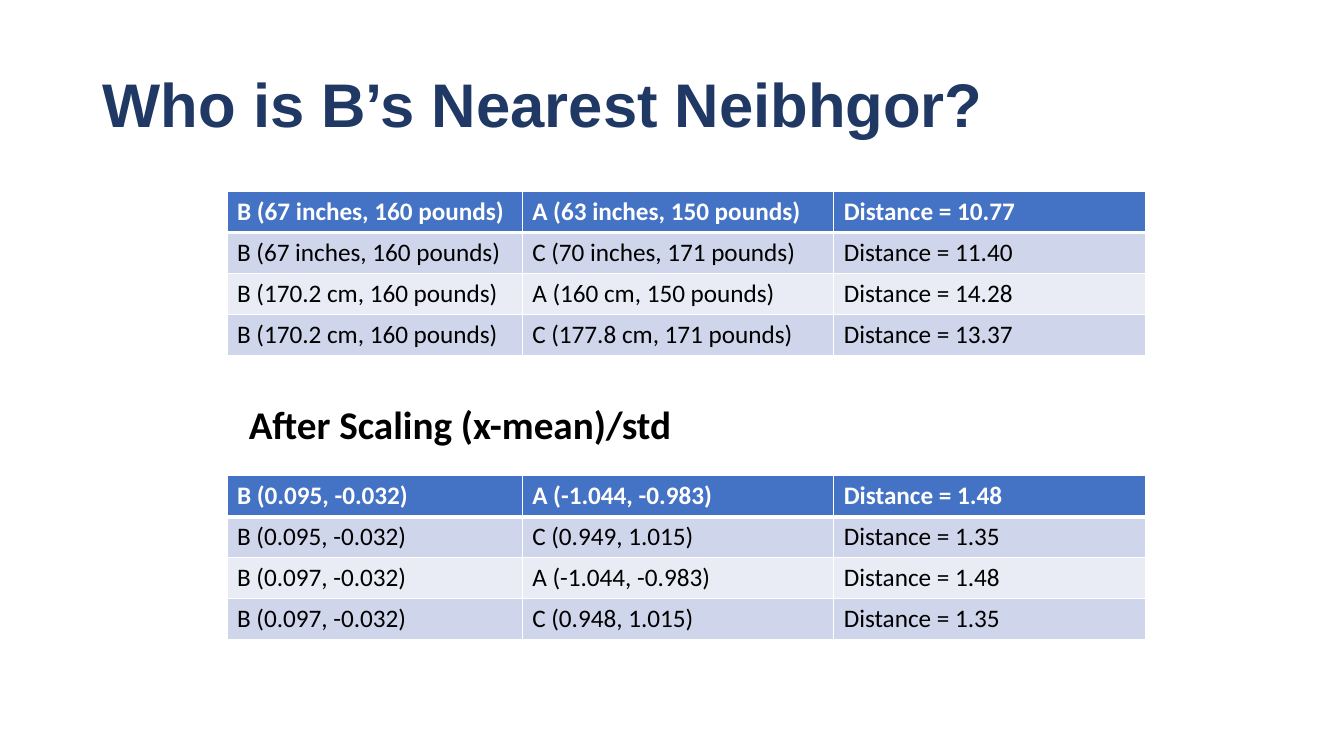
import pptx
import pptx.dml.color
import pptx.enum.text
import pptx.oxml
import pptx.oxml.ns
import pptx.util
from pptx.util import Cm

NAVY, BLUE, WHITE, BLACK = "203864", "4472C4", "FFFFFF", "000000"
BANDS = ["E9EBF5", "CFD5EA"]
COLUMN_WIDTHS = [7.44, 7.85, 7.85]
ROW_HEIGHT = 1.03
TABLE_LEFT = 5.72

RAW_DISTANCES = [
    ["B (67 inches, 160 pounds)", "A (63 inches, 150 pounds)", "Distance = 10.77"],
    ["B (67 inches, 160 pounds)", "C (70 inches, 171 pounds)", "Distance = 11.40"],
    ["B (170.2 cm, 160 pounds)", "A (160 cm, 150 pounds)", "Distance = 14.28"],
    ["B (170.2 cm, 160 pounds)", "C (177.8 cm, 171 pounds)", "Distance = 13.37"],
]
SCALED_DISTANCES = [
    ["B (0.095, -0.032)", "A (-1.044, -0.983)", "Distance = 1.48"],
    ["B (0.095, -0.032)", "C (0.949, 1.015)", "Distance = 1.35"],
    ["B (0.097, -0.032)", "A (-1.044, -0.983)", "Distance = 1.48"],
    ["B (0.097, -0.032)", "C (0.948, 1.015)", "Distance = 1.35"],
]


def rgb(value):
    return pptx.dml.color.RGBColor.from_string(value)


def write(frame, text, size=18, font="Calibri", color=BLACK, bold=False, spacing=None):
    paragraph = frame.paragraphs[0]
    paragraph.line_spacing = spacing
    run = paragraph.add_run()
    run.text = text
    run.font.size = pptx.util.Pt(size)
    run.font.name = font
    run.font.bold = bold
    run.font.color.rgb = rgb(color)


def add_text(slide, left, top, width, height, text, middle=False, **text_format):
    frame = slide.shapes.add_textbox(Cm(left), Cm(top), Cm(width), Cm(height)).text_frame
    frame.word_wrap = True
    if middle:
        frame.vertical_anchor = pptx.enum.text.MSO_ANCHOR.MIDDLE
    write(frame, text, **text_format)


def add_border(cell, side, points):
    cell._tc.get_or_add_tcPr().append(pptx.oxml.parse_xml(
        f'<a:{side} {pptx.oxml.ns.nsdecls("a")} w="{pptx.util.Pt(points)}">'
        f'<a:solidFill><a:srgbClr val="{WHITE}"/></a:solidFill></a:{side}>'))


def add_distances(slide, top, rows):
    table = slide.shapes.add_table(
        len(rows), len(COLUMN_WIDTHS), Cm(TABLE_LEFT), Cm(top),
        Cm(sum(COLUMN_WIDTHS)), Cm(ROW_HEIGHT * len(rows))).table
    for column, width in zip(table.columns, COLUMN_WIDTHS):
        column.width = Cm(width)
    for r, row in enumerate(rows):
        table.rows[r].height = Cm(ROW_HEIGHT)
        header = r == 0
        borders = {"lnL": 1, "lnR": 1, "lnT": 3 if r == 1 else 1, "lnB": 3 if header else 1}
        for c, text in enumerate(row):
            cell = table.cell(r, c)
            for side, points in borders.items():
                add_border(cell, side, points)
            cell.fill.solid()
            cell.fill.fore_color.rgb = rgb(BLUE if header else BANDS[r % 2])
            write(cell.text_frame, text, color=WHITE if header else BLACK, bold=header)


def main():
    deck = pptx.Presentation()
    deck.slide_width, deck.slide_height = Cm(33.87), Cm(19.05)
    slide = deck.slides.add_slide(deck.slide_layouts[6])
    add_text(slide, 2.34, 1.02, 26.77, 3.38, "Who is B’s Nearest Neibhgor?", middle=True,
             size=44, font="Arial", color=NAVY, bold=True, spacing=0.9)
    add_distances(slide, 4.83, RAW_DISTANCES)
    add_distances(slide, 11.99, SCALED_DISTANCES)
    add_text(slide, 6.02, 9.96, 11.4, 1.45, "After Scaling (x-mean)/std", size=28, bold=True)
    deck.save("out.pptx")


if __name__ == "__main__":
    main()
